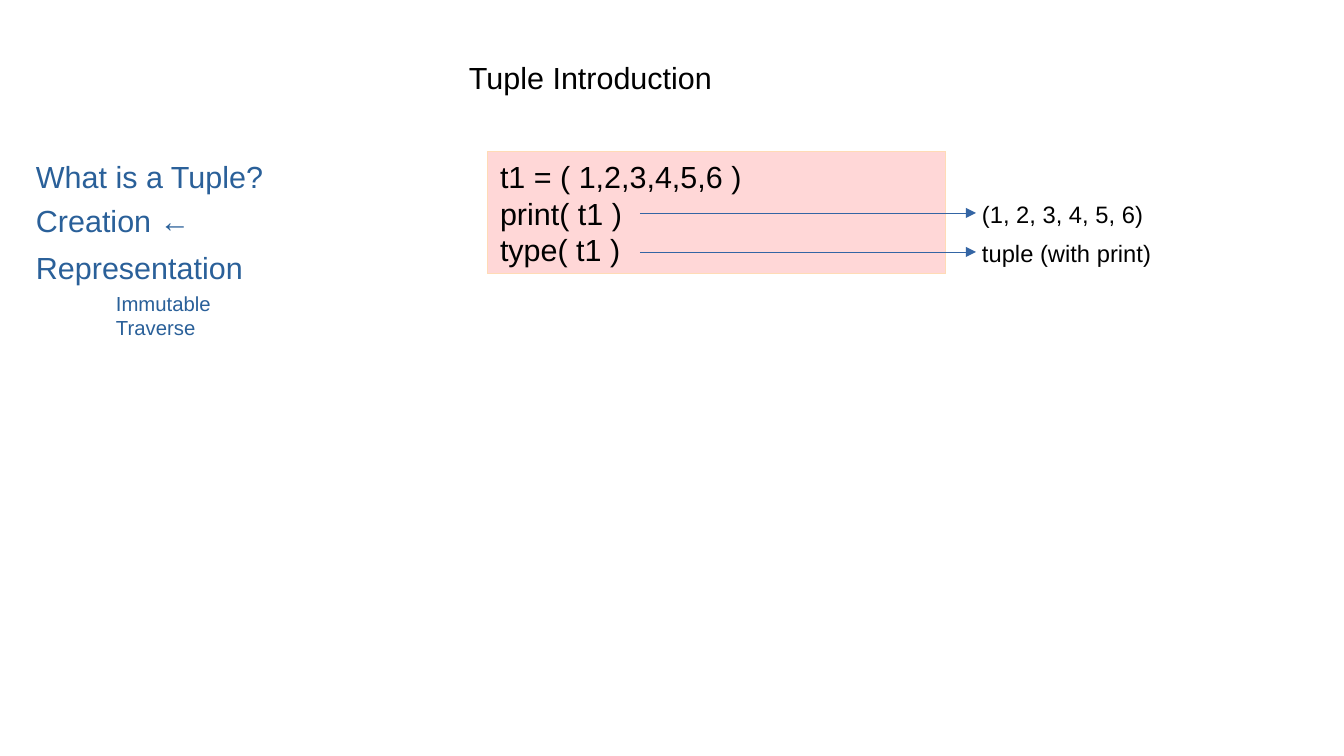
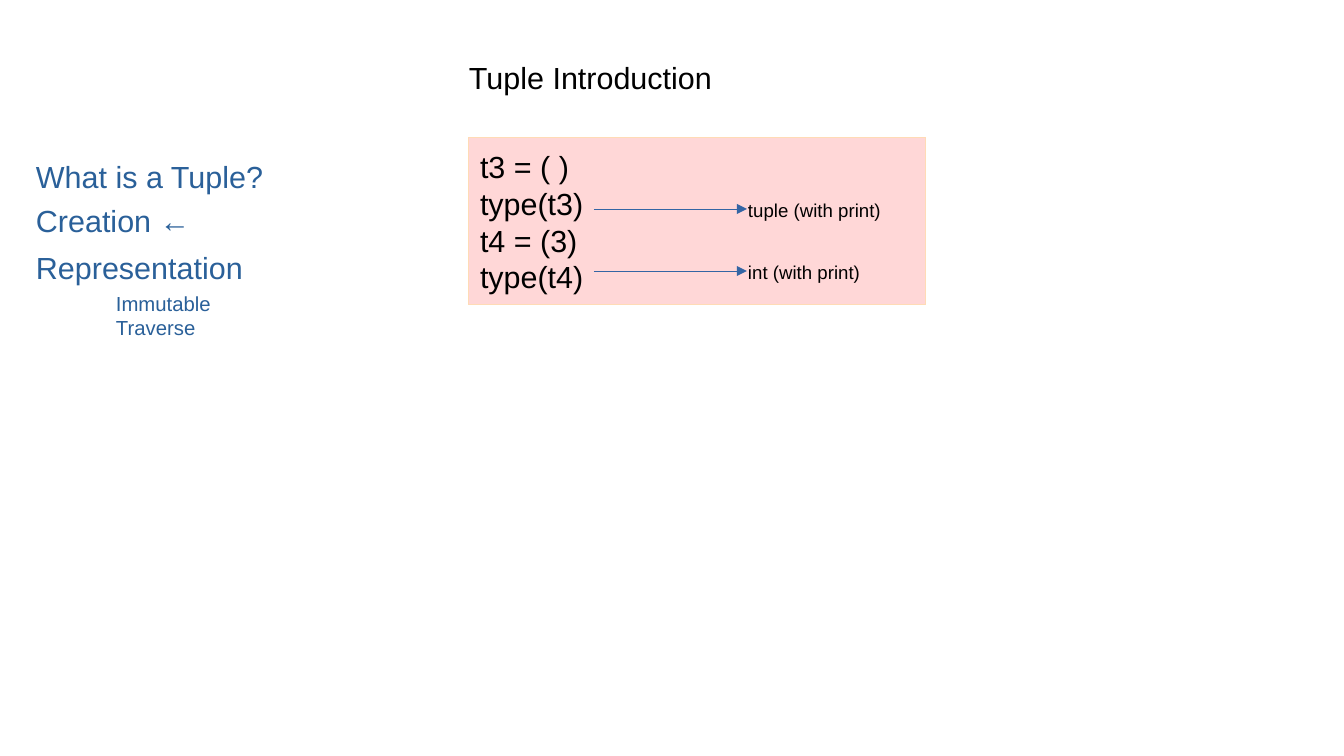
import pptx
import pptx.dml.color
import pptx.enum.shapes
import pptx.enum.text
import pptx.oxml
import pptx.oxml.ns
import pptx.util

SCALE = 914400 / 122
SLIDE_WIDTH, SLIDE_HEIGHT = 1344, 756
FONT = "Arial"
COLORS = {
    "text": "000000",
    "outline": "2A6099",
    "code_fill": "FFD7D7",
    "code_line": "FFDBB6",
    "arrow": "3465A4",
}
LABEL_HEIGHTS = {18: 46, 14: 39, 12: 35, 11: 33}
TITLE = ("Tuple Introduction", 457, 53, 269)
OUTLINE_BOX = (24, 152)
TOPICS = [
    ("What is a Tuple?", 0, 0, 254, 18),
    ("Creation ←", 0, 44, 190, 18),
    ("Representation", 0, 91, 234, 18),
    ("Immutable", 80, 133, 122, 12),
    ("Traverse", 80, 157, 106, 12),
]
EXAMPLES = [
    {
        "box": (488, 152, 458, 122),
        "code": ["t1 = ( 1,2,3,4,5,6 )", "print( t1 )", "type( t1 )"],
        "arrow_span": (152, 488),
        "result_left": 482,
        "result_size": 14,
        "results": [("(1, 2, 3, 4, 5, 6)", 61, 190), ("tuple (with print)", 100, 197)],
    },
    {
        "box": (468, 138, 458, 167),
        "code": ["t3 = ( )", "type(t3)", "t4 = (3)", "type(t4)"],
        "arrow_span": (126, 279),
        "result_left": 268,
        "result_size": 11,
        "results": [("tuple (with print)", 71, 160), ("int (with print)", 133, 140)],
    },
]


def px(*lengths):
    return [pptx.util.Emu(round(length * SCALE)) for length in lengths]


def color(name):
    return pptx.dml.color.RGBColor.from_string(COLORS[name])


def style(paragraph, size, color_name):
    paragraph.font.name = FONT
    paragraph.font.size = pptx.util.Pt(size)
    paragraph.font.color.rgb = color(color_name)


def set_insets(frame):
    frame.margin_left = frame.margin_right = pptx.util.Inches(0.1)
    frame.margin_top = frame.margin_bottom = pptx.util.Inches(0.05)


def set_hairline(line, color_name):
    line.color.rgb = color(color_name)
    outline = line._get_or_add_ln()
    outline.set("w", "0")
    return outline


def add_label(slide, text, left, top, width, size, color_name):
    label = slide.shapes.add_textbox(*px(left, top, width, LABEL_HEIGHTS[size]))
    frame = label.text_frame
    set_insets(frame)
    frame.word_wrap = False
    frame.auto_size = pptx.enum.text.MSO_AUTO_SIZE.SHAPE_TO_FIT_TEXT
    frame.text = text
    style(frame.paragraphs[0], size, color_name)


def add_outline(slide, box):
    left, top = box
    for text, dx, dy, width, size in TOPICS:
        add_label(slide, text, left + dx, top + dy, width, size, "outline")


def add_code(slide, box, lines):
    code = slide.shapes.add_shape(pptx.enum.shapes.MSO_SHAPE.RECTANGLE, *px(*box))
    code.shadow.inherit = False
    code.fill.solid()
    code.fill.fore_color.rgb = color("code_fill")
    set_hairline(code.line, "code_line")
    frame = code.text_frame
    set_insets(frame)
    frame.word_wrap = True
    frame.vertical_anchor = pptx.enum.text.MSO_ANCHOR.MIDDLE
    frame.text = "\n".join(lines)
    for paragraph in frame.paragraphs:
        paragraph.alignment = pptx.enum.text.PP_ALIGN.JUSTIFY
        style(paragraph, 18, "text")


def add_arrow(slide, start, end, y):
    arrow = slide.shapes.add_connector(
        pptx.enum.shapes.MSO_CONNECTOR.STRAIGHT, *px(start, y, end, y)
    )
    namespace = pptx.oxml.ns.nsdecls("a")
    tip = pptx.oxml.parse_xml(f'<a:tailEnd {namespace} type="triangle"/>')
    set_hairline(arrow.line, "arrow").append(tip)
    arrow._element.spPr.append(pptx.oxml.parse_xml(f"<a:effectLst {namespace}/>"))


def add_example(slide, example):
    left, top = example["box"][:2]
    start, end = example["arrow_span"]
    size = example["result_size"]
    add_code(slide, example["box"], example["code"])
    for text, dy, width in example["results"]:
        y = top + dy
        add_arrow(slide, left + start, left + end, y)
        result_top = y - LABEL_HEIGHTS[size] // 2
        add_label(slide, text, left + example["result_left"], result_top, width, size, "text")


def add_tuple_slide(presentation, example):
    slide = presentation.slides.add_slide(presentation.slide_layouts[6])
    add_label(slide, *TITLE, 18, "text")
    add_outline(slide, OUTLINE_BOX)
    add_example(slide, example)


def main():
    presentation = pptx.Presentation()
    presentation.slide_width, presentation.slide_height = px(SLIDE_WIDTH, SLIDE_HEIGHT)
    for example in EXAMPLES:
        add_tuple_slide(presentation, example)
    presentation.save("out.pptx")


if __name__ == "__main__":
    main()
